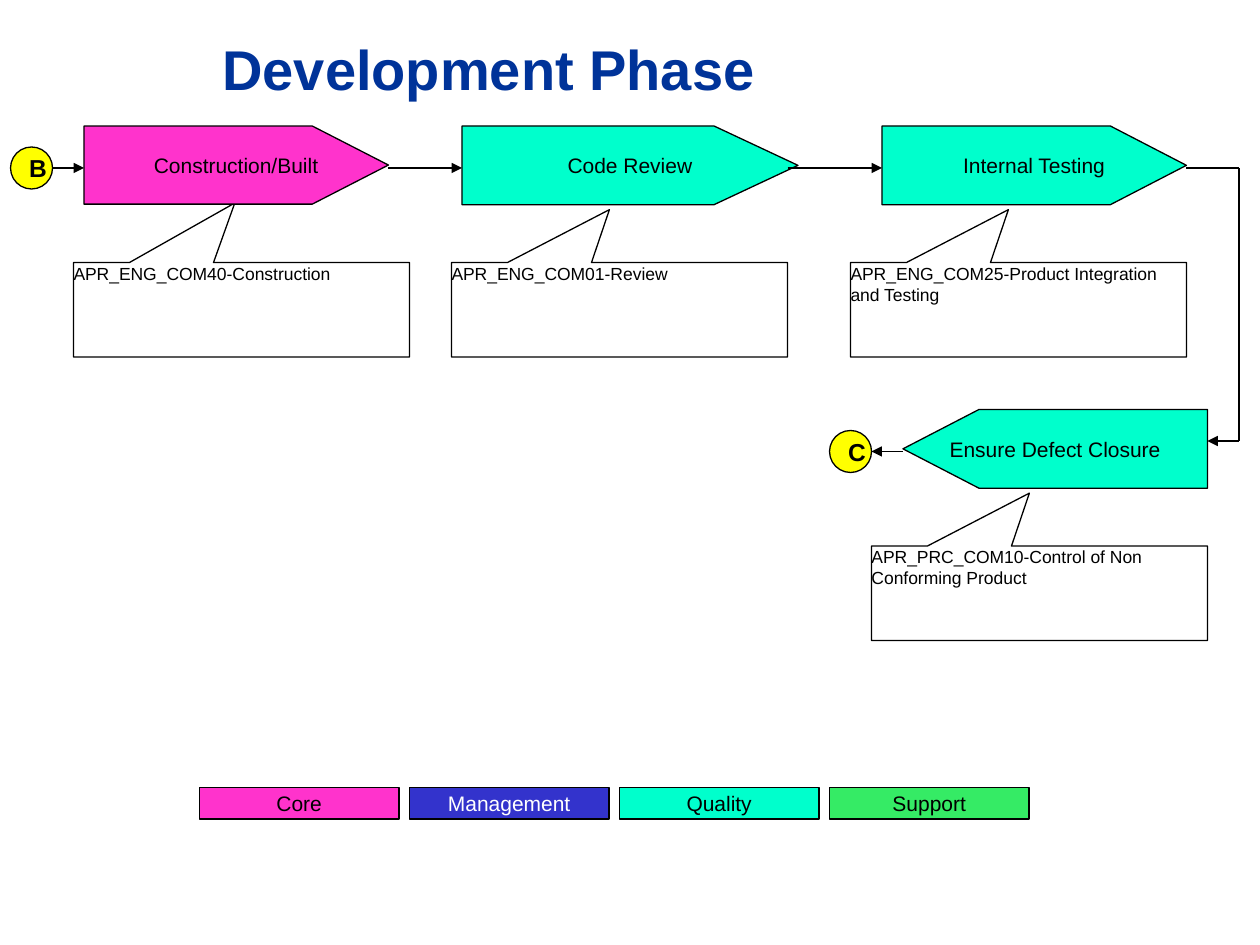
from lxml import etree
from pptx import Presentation
from pptx.dml.color import RGBColor
from pptx.enum.shapes import MSO_CONNECTOR, MSO_SHAPE
from pptx.enum.text import MSO_ANCHOR, PP_ALIGN
from pptx.oxml.ns import qn
from pptx.util import Inches, Pt

STRAIGHT = MSO_CONNECTOR.STRAIGHT
CALLOUT = MSO_SHAPE.RECTANGULAR_CALLOUT
CIRCLE = MSO_SHAPE.FLOWCHART_CONNECTOR
RECTANGLE = MSO_SHAPE.RECTANGLE
TOP, MIDDLE = MSO_ANCHOR.TOP, MSO_ANCHOR.MIDDLE
LEFT, CENTER = PP_ALIGN.LEFT, PP_ALIGN.CENTER

COLORS = {
    "title": "003399", "black": "000000", "white": "FFFFFF", "marker": "FFFF00",
    "core": "FF33CC", "management": "3333CC", "quality": "00FFCC", "support": "35EB65",
}
COLUMNS, ROWS = 120, 90  # grid cells across the slide
CELL = Inches(10) // COLUMNS

# label, kind, box of the step, points left, callout column, callout tip, document
STEPS = [
    ("Construction/Built", "core", (8, 12, 29, 7.44), False,
     7, (-0.02, -1.13), "APR_ENG_COM40-Construction"),
    ("Code Review", "quality", (44, 12, 32, 7.5), False,
     43, (-0.03, -1.06), "APR_ENG_COM01-Review"),
    ("Internal Testing", "quality", (84, 12, 29, 7.5), False,
     81, (-0.03, -1.06), "APR_ENG_COM25-Product Integration and Testing"),
    ("Ensure Defect Closure", "quality", (86, 39, 29, 7.5), True,
     83, (-0.03, -1.06), "APR_PRC_COM10-Control of Non Conforming Product"),
]
MARKERS = [("B", (1, 14, 4, 4)), ("C", (79, 41, 4, 4))]
# start, end, has an arrowhead
LINES = [
    ((5, 16), (8, 16), True),
    ((37, 16), (44, 16), True),
    ((75, 16), (84, 16), True),
    ((113, 16), (118, 16), False),
    ((118, 16), (118, 42), False),
    ((118, 42), (115, 42), True),
    ((86, 43), (83, 43), True),
]
LEGEND = [("Core", "black"), ("Management", "white"), ("Quality", "black"), ("Support", "black")]


def cells(*values):
    return [round(value * CELL) for value in values]


def rgb(name):
    return RGBColor.from_string(COLORS[name])


def style(shape, fill=None):
    shape.shadow.inherit = False
    if fill:
        shape.fill.solid()
        shape.fill.fore_color.rgb = rgb(fill)
    else:
        shape.fill.background()
    shape.line.color.rgb = rgb("black")
    shape.line.width = Pt(0.75)


def write(shape, text, size, color="black", bold=False, align=CENTER,
          anchor=MIDDLE, wrap=False, inset=True):
    frame = shape.text_frame
    frame.word_wrap = wrap
    frame.vertical_anchor = anchor
    frame.margin_left = frame.margin_right = Inches(0.1 if inset else 0)
    frame.margin_top = frame.margin_bottom = Inches(0.05 if inset else 0)
    paragraph = frame.paragraphs[0]
    paragraph.text = text
    paragraph.alignment = align
    font = paragraph.font
    font.name, font.size, font.bold = "Arial", Pt(size), bold
    font.color.rgb = rgb(color)


def add_title(slide, box):
    title = slide.shapes.add_textbox(*cells(*box))
    write(title, "Development Phase", 32, "title", bold=True, align=LEFT, wrap=True)


def add_callout(slide, box, tip, text):
    callout = slide.shapes.add_shape(CALLOUT, *cells(*box))
    callout.adjustments[0], callout.adjustments[1] = tip
    style(callout)
    write(callout, text, 10, align=LEFT, anchor=TOP, wrap=True, inset=False)


def add_step(slide, box, text, kind, points_left):
    """Pentagon whose tip takes a quarter of its width."""
    left, top, width, height = box
    flat, tip, direction = (left + width, left, -1) if points_left else (left, left + width, 1)
    shoulder = flat + direction * width * 0.75
    corners = [(flat, top), (shoulder, top), (tip, top + height / 2),
               (shoulder, top + height), (flat, top + height)]
    start, *others = [cells(*corner) for corner in corners]
    builder = slide.shapes.build_freeform(*start)
    builder.add_line_segments(others, close=True)
    step = builder.convert_to_shape()
    style(step, kind)
    write(step, text, 12)


def add_marker(slide, box, letter):
    marker = slide.shapes.add_shape(CIRCLE, *cells(*box))
    style(marker, "marker")
    write(marker, letter, 14, bold=True, wrap=True)


def add_line(slide, start, end, arrow):
    connector = slide.shapes.add_connector(STRAIGHT, *cells(*start, *end))
    connector.line.color.rgb = rgb("black")
    connector.line.width = Pt(0.75)
    properties = connector.element.spPr
    if arrow:
        etree.SubElement(properties.find(qn("a:ln")), qn("a:tailEnd"), type="triangle")
    etree.SubElement(properties, qn("a:effectLst"))


def add_legend(slide, box):
    left, top, width, height = box
    gap = 1
    key_width = (width - gap * (len(LEGEND) - 1)) / len(LEGEND)
    for index, (label, color) in enumerate(LEGEND):
        key_left = left + index * (key_width + gap)
        key = slide.shapes.add_shape(RECTANGLE, *cells(key_left, top, key_width, height))
        style(key, label.lower())
        write(key, label, 12, color)


def main():
    presentation = Presentation()
    presentation.slide_width, presentation.slide_height = cells(COLUMNS, ROWS)
    slide = presentation.slides.add_slide(presentation.slide_layouts[6])
    add_title(slide, (20, 2, 98, 9))
    for label, kind, box, points_left, callout_column, tip, document in STEPS:
        add_callout(slide, (callout_column, box[1] + 13, 32, 9), tip, document)
        add_step(slide, box, label, kind, points_left)
    for start, end, arrow in LINES:
        add_line(slide, start, end, arrow)
    add_legend(slide, (19, 75, 79, 3))
    for letter, box in MARKERS:
        add_marker(slide, box, letter)
    presentation.save("out.pptx")


if __name__ == "__main__":
    main()
